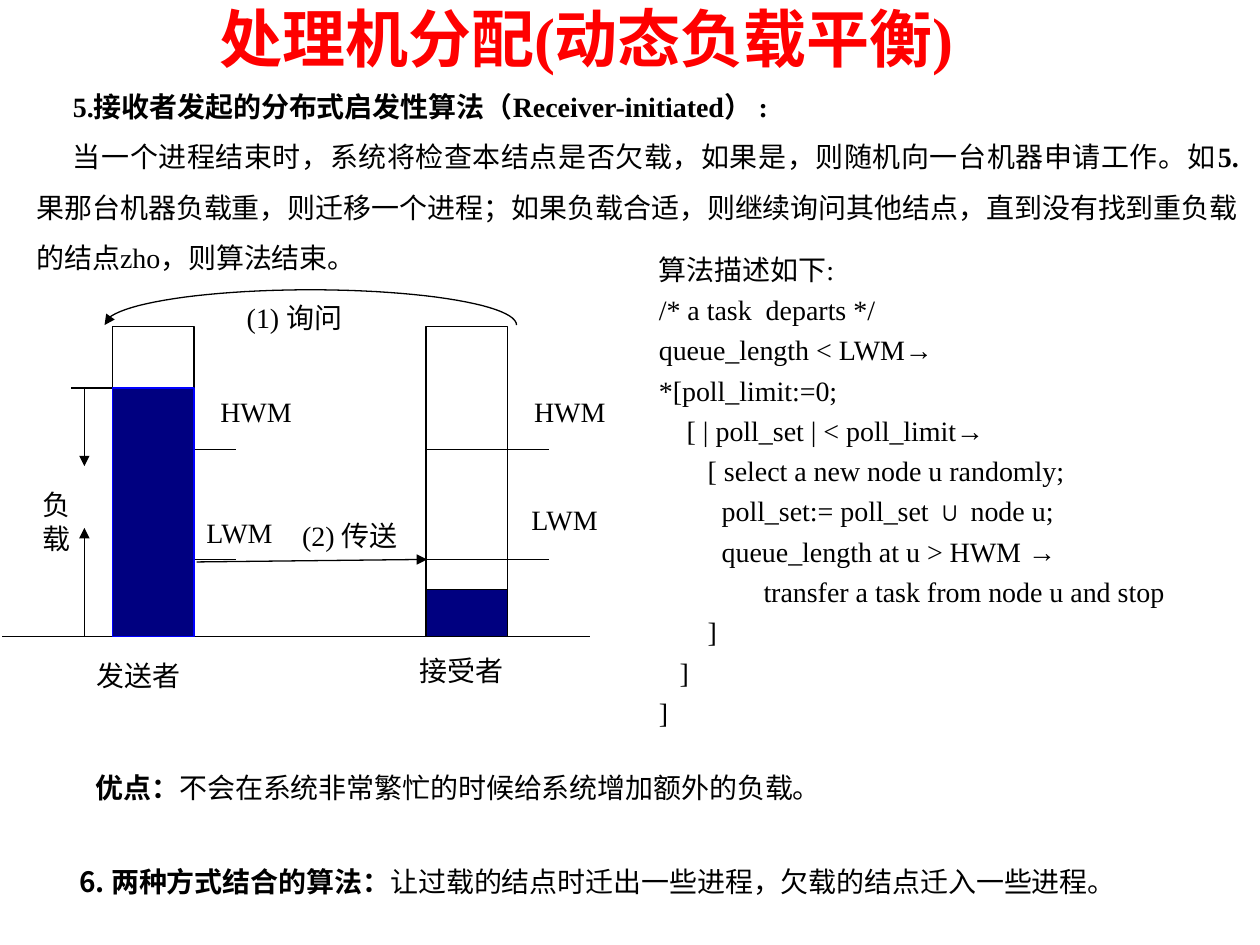
import math
from typing import NamedTuple

from lxml import etree
from pptx import Presentation, util as u
from pptx.dml.color import RGBColor
from pptx.enum import shapes, text
from pptx.oxml.ns import qn

COLORS = {"title": "FF0000", "ink": "000000", "paper": "FFFFFF",
          "load": "000080", "load_edge": "0000FF"}
LATIN, CHINESE = "Times New Roman", "Noto Sans CJK SC"
COLUMNS, ROWS = 100, 75
CELL = u.Inches(0.1)
BASE, LOAD_TOP, HWM, LWM = 50.5, 30.8, 35.7, 44.4
SENDER, RECEIVER, QUEUE_TOP, QUEUE_WIDTH = 8.9, 33.8, 25.9, 6.5
RECEIVER_LOAD_TOP = 46.8


class Box(NamedTuple):
    column: float
    row: float
    columns: float
    rows: float


class Run(NamedTuple):
    words: str
    bold: bool = False
    font: str = LATIN
    size: int = 16
    color: str = "ink"


class Line(NamedTuple):
    start: tuple[float, float]
    end: tuple[float, float]
    arrow: bool = False


class Label(NamedTuple):
    words: str
    box: Box


class Paragraph(NamedTuple):
    runs: list[Run]
    spacing: float = 1.5
    align: text.PP_ALIGN = text.PP_ALIGN.JUSTIFY
    indent: float = 2.9


CODE = """算法描述如下:
/* a task  departs */
queue_length < LWM→
*[poll_limit:=0;
    [ | poll_set | < poll_limit→
       [ select a new node u randomly;
         poll_set:= poll_set ∪ node u;
         queue_length at u > HWM →
               transfer a task from node u and stop
       ]
   ]
]"""

TEXTS = [
    (Box(1.9, 6.6, 97.4, 15.8), [
        Paragraph([Run("5.接收者发起的分布式启发性算法（Receiver-initiated） :", True)],
                  1, text.PP_ALIGN.LEFT),
        Paragraph([
            Run("当一个进程结束时，系统将检查本结点是否欠载，如果是，则随机向一台机器申请工作。如"),
            Run("5.", True),
            Run("果那台机器负载重，则迁移一个进程；如果负载合适，则继续询问其他结点，"
                "直到没有找到重负载的结点zho，则算法结束。")])]),
    (Box(48.4, 19, 51.8, 39.8),
     [Paragraph([Run(code_line)], 1.2) for code_line in CODE.splitlines()]),
    (Box(3.7, 58, 84.6, 6.4), [
        Paragraph([Run("优点：", True), Run("不会在系统非常繁忙的时候给系统增加额外的负载。")], 2)]),
    (Box(2.4, 66.8, 88.8, 5), [
        Paragraph([Run("6. 两种方式结合的算法：", True, CHINESE),
                   Run("让过载的结点时迁出一些进程，欠载的结点迁入一些进程。", False, CHINESE)])]),
]

LABELS = [
    Label("负载", Box(2.4, 38.2, 5.4, 3.7)),
    Label("HWM", Box(41.4, 30.8, 7.8, 3.7)),
    Label("(2) 传送", Box(23, 40.7, 10.7, 3.7)),
    Label("(1) 询问", Box(18.6, 23.4, 10.8, 3.7)),
    Label("LWM", Box(41.2, 39.4, 8, 3.7)),
    Label("HWM", Box(16.5, 30.8, 8.5, 3.7)),
    Label("LWM", Box(15.4, 40.4, 7.6, 3.7)),
    Label("接受者", Box(32.3, 51.4, 10.8, 3.7)),
    Label("发送者", Box(6.7, 51.8, 9.8, 3.7)),
]

LINES = [
    Line((0.2, BASE), (46.8, BASE)),
    Line((SENDER + QUEUE_WIDTH, LOAD_TOP), (5.6, LOAD_TOP)),
    Line((6.7, LOAD_TOP), (6.7, 37), True),
    Line((6.7, BASE), (6.7, 41.9), True),
] + [Line((left, mark), (left + 9.8, mark))
     for left in (SENDER, RECEIVER) for mark in (HWM, LWM)]


def cells(*counts: float) -> list[int]:
    return [round(count * CELL) for count in counts]


def rgb(name: str) -> RGBColor:
    return RGBColor.from_string(COLORS[name])


def add_run(paragraph, run: Run) -> None:
    piece = paragraph.add_run()
    piece.text = run.words
    font = piece.font
    font.name, font.size, font.bold = run.font, u.Pt(run.size), run.bold
    font.color.rgb = rgb(run.color)
    east_asian = etree.SubElement(font._element, qn("a:ea"))
    east_asian.set("typeface", CHINESE)


def fill_text(frame, paragraphs: list[Paragraph]) -> None:
    frame.word_wrap = True
    frame.vertical_anchor = text.MSO_ANCHOR.TOP
    for index, item in enumerate(paragraphs):
        paragraph = frame.add_paragraph() if index else frame.paragraphs[0]
        paragraph.alignment, paragraph.line_spacing = item.align, item.spacing
        properties = paragraph._p.get_or_add_pPr()
        properties.set("marL", "0")
        properties.set("indent", str(cells(item.indent)[0]))
        for run in item.runs:
            add_run(paragraph, run)


def add_rectangle(slide, box: Box, fill: str, edge: str):
    shape = slide.shapes.add_shape(shapes.MSO_SHAPE.RECTANGLE, *cells(*box))
    shape.shadow.inherit = False
    shape.fill.solid()
    shape.fill.fore_color.rgb = rgb(fill)
    shape.line.color.rgb = rgb(edge)
    shape.line.width = u.Pt(0.75)
    return shape


def style_line(shape, arrow: bool) -> None:
    shape.line.color.rgb = rgb("ink")
    shape.line.width = u.Pt(0.75)
    if arrow:
        tail = etree.SubElement(shape.line._get_or_add_ln(), qn("a:tailEnd"))
        tail.set("type", "triangle")


def add_line(slide, line: Line) -> None:
    connector = slide.shapes.add_connector(
        shapes.MSO_CONNECTOR.STRAIGHT, *cells(*line.start, *line.end))
    style_line(connector, line.arrow)
    etree.SubElement(connector._element.spPr, qn("a:effectLst"))


def add_arc(slide, box: Box, steps: int = 48) -> None:
    """Draw the upper half of an ellipse from right to left, with an arrowhead."""
    radius = box.columns / 2
    angles = [math.pi * step / steps for step in range(steps + 1)]
    points = [tuple(cells(box.column + radius * (1 + math.cos(angle)),
                          box.row + box.rows * (1 - math.sin(angle))))
              for angle in angles]
    builder = slide.shapes.build_freeform(*points[0])
    builder.add_line_segments(points[1:], close=False)
    arc = builder.convert_to_shape()
    arc.shadow.inherit = False
    arc.fill.background()
    style_line(arc, True)


def add_title(slide) -> None:
    title = slide.shapes.title
    title.left, title.top, title.width, title.height = cells(4.1, 0.1, 84.9, 5.7)
    run = Run("处理机分配(动态负载平衡)", True, LATIN, 36, "title")
    fill_text(title.text_frame, [Paragraph([run], 1, text.PP_ALIGN.CENTER, 0)])
    title.text_frame.auto_size = text.MSO_AUTO_SIZE.NONE
    title.text_frame.vertical_anchor = text.MSO_ANCHOR.MIDDLE


def add_diagram(slide) -> None:
    for left in (SENDER, RECEIVER):
        queue = Box(left, QUEUE_TOP, QUEUE_WIDTH, BASE - QUEUE_TOP)
        add_rectangle(slide, queue, "paper", "ink")
    for label in LABELS:
        shape = add_rectangle(slide, label.box, "paper", "paper")
        fill_text(shape.text_frame, [Paragraph([Run(label.words)], 1, indent=0)])
    for line in LINES:
        add_line(slide, line)
    for left, top, edge in ((RECEIVER, RECEIVER_LOAD_TOP, "ink"),
                            (SENDER, LOAD_TOP, "load_edge")):
        add_rectangle(slide, Box(left, top, QUEUE_WIDTH, BASE - top), "load", edge)
    add_arc(slide, Box(8.3, 23, 32.7, 2.8))
    add_line(slide, Line((15.6, 44.6), (33.9, LWM), True))


def main() -> None:
    presentation = Presentation()
    presentation.slide_width, presentation.slide_height = cells(COLUMNS, ROWS)
    slide = presentation.slides.add_slide(presentation.slide_layouts[5])
    add_title(slide)
    add_diagram(slide)
    for box, paragraphs in TEXTS:
        fill_text(slide.shapes.add_textbox(*cells(*box)).text_frame, paragraphs)
    presentation.save("out.pptx")


if __name__ == "__main__":
    main()
